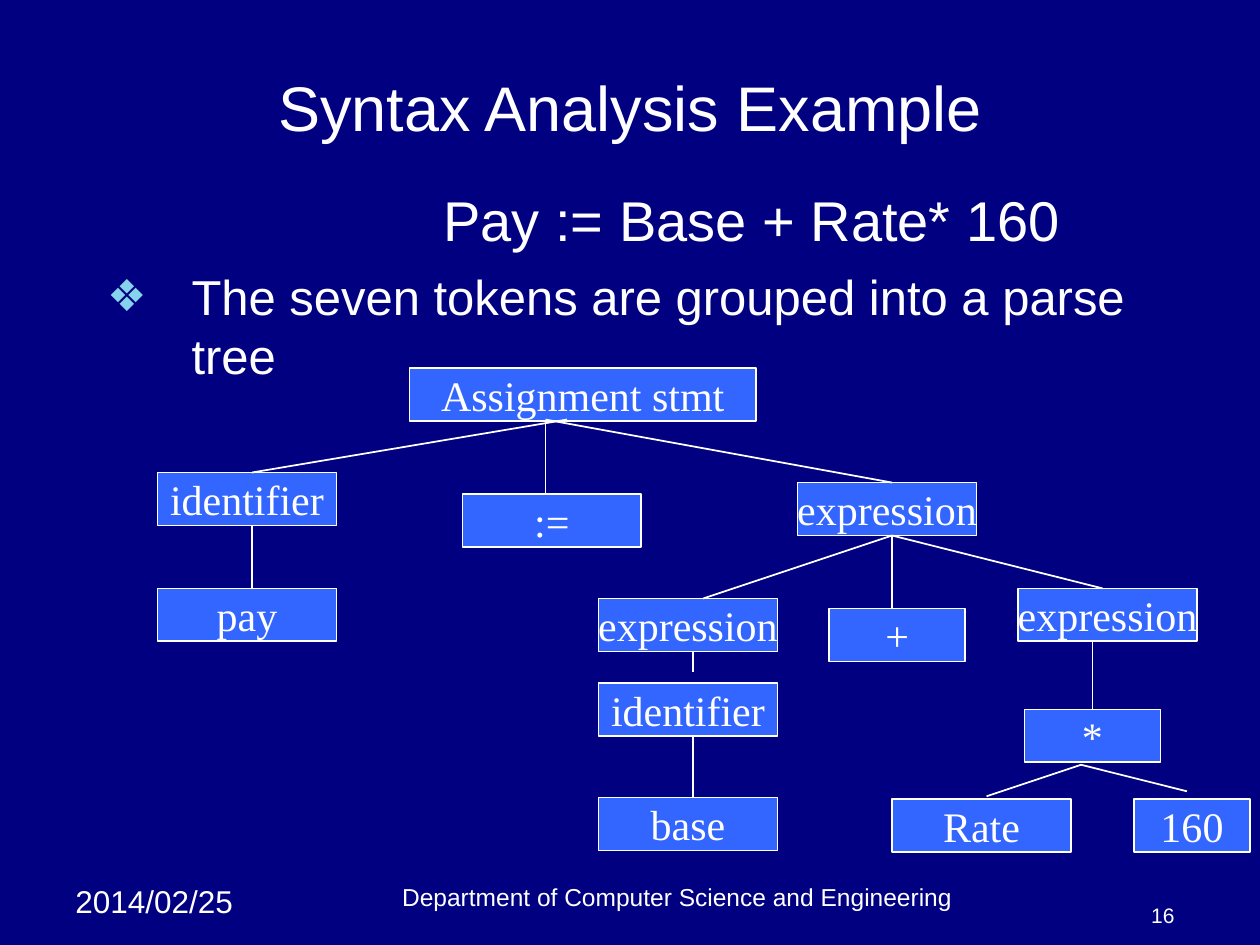
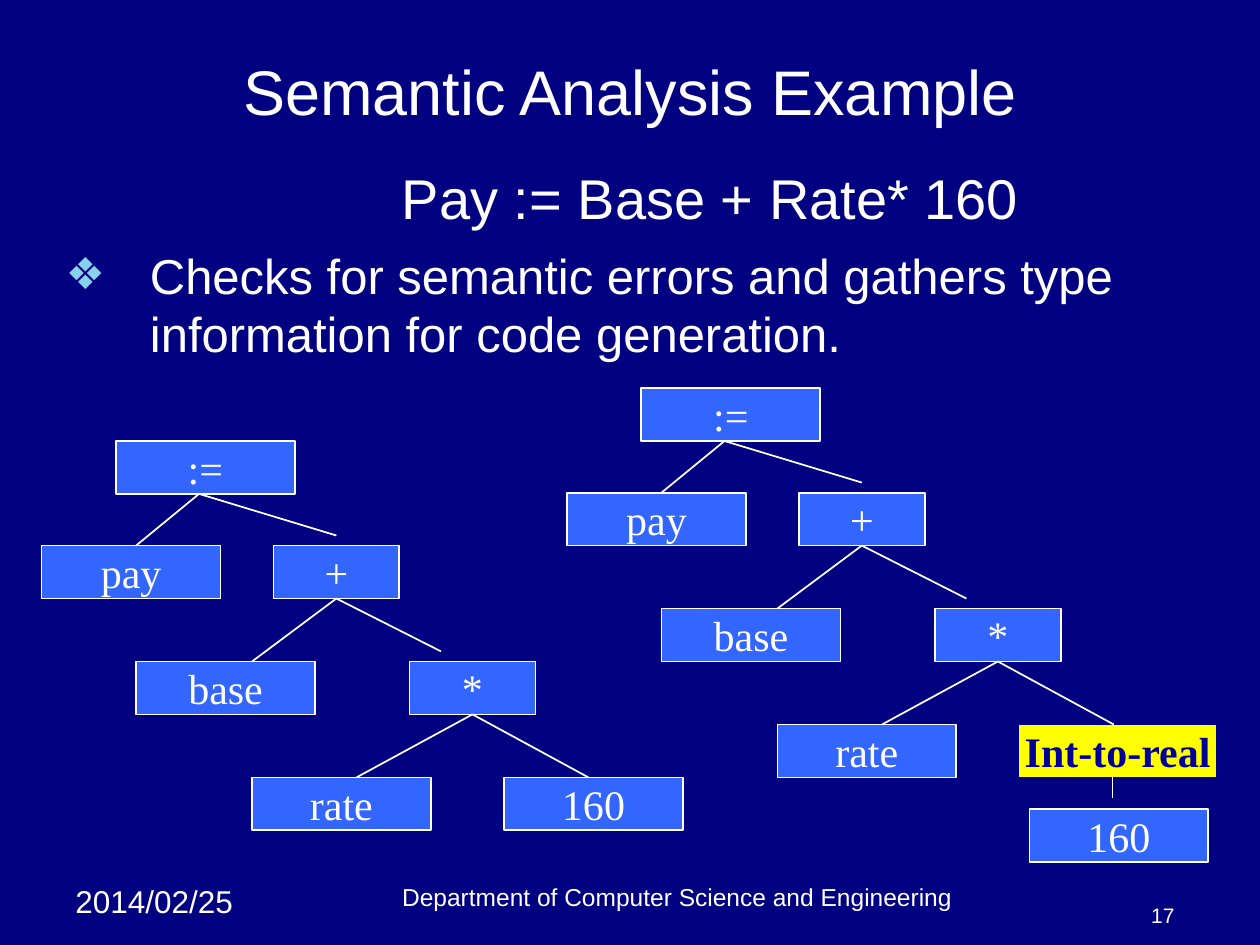
from dataclasses import dataclass

from lxml.etree import SubElement
from pptx import Presentation
from pptx.dml.color import RGBColor
from pptx.enum.shapes import MSO_CONNECTOR, MSO_SHAPE
from pptx.enum.text import MSO_ANCHOR, PP_ALIGN
from pptx.oxml.ns import qn
from pptx.presentation import Presentation as Deck
from pptx.shapes.autoshape import Shape
from pptx.slide import Slide
from pptx.text.text import _Paragraph
from pptx.util import Inches, Pt

COLORS = {
    "navy": "000080",
    "white": "FFFFFF",
    "node": "3366FF",
    "bullet": "86D1EC",
    "highlight": "FFFF00",
    "highlight_text": "000099",
}
SANS, SERIF = "Arial", "Times New Roman"
NODE_HEIGHT = 0.42
WIDE, NARROW = 1.42, 1.08
BULLET_INDENT, FORMULA_INDENT = 0.67, 2.67
SNAP = 0.02
TOP, BOTTOM = 0, 2


@dataclass(frozen=True)
class Area:
    left: float
    top: float
    width: float
    height: float


@dataclass(frozen=True)
class Node:
    text: str
    left: float
    top: float
    width: float = WIDE
    highlighted: bool = False


@dataclass(frozen=True)
class Branch:
    x1: float
    y1: float
    x2: float
    y2: float


@dataclass(frozen=True)
class Tree:
    nodes: list[Node]
    branches: list[Branch]


@dataclass(frozen=True)
class Footer:
    text: str
    area: Area
    size: int
    align: PP_ALIGN
    anchor: MSO_ANCHOR


@dataclass(frozen=True)
class Page:
    number: int
    title: str
    title_area: Area
    statement: str
    body_area: Area
    trees: list[Tree]


PARSE_TREE = Tree(
    [
        Node("Assignment stmt", 3.25, 2.92, 2.75),
        Node("identifier", 1.25, 3.75),
        Node("pay", 1.25, 4.67),
        Node(":=", 3.67, 3.92),
        Node("expression", 6.33, 3.83),
        Node("expression", 4.75, 4.75),
        Node("expression", 8.08, 4.67),
        Node("+", 6.58, 4.83, NARROW),
        Node("identifier", 4.75, 5.42),
        Node("base", 4.75, 6.33),
        Node("*", 8.13, 5.63, NARROW),
        Node("Rate", 7.08, 6.34),
        Node("160", 9, 6.34, 0.92),
    ],
    [
        Branch(4.5, 3.33, 2, 3.75),
        Branch(2, 4.17, 2, 4.67),
        Branch(4.33, 3.33, 4.33, 3.92),
        Branch(4.33, 3.33, 7.08, 3.83),
        Branch(7.08, 4.25, 5.58, 4.75),
        Branch(7.08, 4.25, 7.08, 4.83),
        Branch(7.08, 4.25, 8.75, 4.67),
        Branch(5.5, 5.83, 5.5, 6.33),
        Branch(5.5, 5.17, 5.5, 5.33),
        Branch(8.67, 5.08, 8.67, 5.63),
        Branch(8.58, 6.07, 7.83, 6.32),
        Branch(8.58, 6.07, 9.42, 6.28),
    ],
)


def syntax_tree(dx: float, dy: float, leaves: list[Node],
                extra: list[Branch]) -> Tree:
    """Shift the common operator tree and add the leaves right of "*"."""
    nodes = [
        Node(":=", 0.92, 3.5),
        Node("pay", 0.33, 4.33),
        Node("+", 2.17, 4.33, 1),
        Node("base", 1.08, 5.25),
        Node("*", 3.25, 5.25, 1),
        Node("rate", 2, 6.17),
    ]
    branches = [
        Branch(1.58, 3.92, 1.08, 4.33),
        Branch(1.58, 3.92, 2.67, 4.25),
        Branch(2.67, 4.75, 2, 5.25),
        Branch(2.67, 4.75, 3.5, 5.17),
        Branch(3.75, 5.67, 2.83, 6.17),
        Branch(3.75, 5.67, 4.67, 6.17),
    ]
    return Tree(
        [Node(n.text, n.left + dx, n.top + dy, n.width) for n in nodes] + leaves,
        [Branch(b.x1 + dx, b.y1 + dy, b.x2 + dx, b.y2 + dy)
         for b in branches] + extra,
    )


PAGES = [
    Page(16, "Syntax Analysis Example", Area(0.5, 0.3, 9, 1.08),
         "The seven tokens are grouped into a parse tree",
         Area(0.75, 1.42, 8.5, 5.42), [PARSE_TREE]),
    Page(17, "Semantic Analysis Example", Area(0.5, 0.3, 9, 0.83),
         "Checks for semantic errors and gathers type information "
         "for code generation.",
         Area(0.42, 1.25, 9.33, 5.83),
         [syntax_tree(0, 0, [Node("160", 4, 6.17)], []),
          syntax_tree(4.17, -0.42,
                      [Node("Int-to-real", 8.08, 5.75, 1.58, True),
                       Node("160", 8.17, 6.42)],
                      [Branch(8.83, 6.17, 8.83, 6.33)])]),
]


def rgb(name: str) -> RGBColor:
    return RGBColor.from_string(COLORS[name])


def add_run(p: _Paragraph, text: str, size: int, font: str = SANS,
            color: str = "white", bold: bool = False) -> None:
    r = p.add_run()
    r.text = text
    r.font.size = Pt(size)
    r.font.name = font
    r.font.bold = bold
    r.font.color.rgb = rgb(color)


def place(sp: Shape, area: Area) -> None:
    sp.left, sp.top = Inches(area.left), Inches(area.top)
    sp.width, sp.height = Inches(area.width), Inches(area.height)


def set_bullet(p: _Paragraph, char: str | None, left: float, hanging: float) -> None:
    pPr = p._p.get_or_add_pPr()
    pPr.set("marL", str(Inches(left)))
    pPr.set("indent", str(-Inches(hanging)))
    if char is None:
        SubElement(pPr, qn("a:buNone"))
        return
    color = SubElement(pPr, qn("a:buClr"))
    SubElement(color, qn("a:srgbClr"), val=COLORS["bullet"])
    SubElement(pPr, qn("a:buSzPct"), val="90000")
    SubElement(pPr, qn("a:buChar"), char=char)


def fill_placeholders(s: Slide, page: Page) -> None:
    title, body = s.shapes.title, s.placeholders[1]
    place(title, page.title_area)
    title.text_frame.vertical_anchor = MSO_ANCHOR.MIDDLE
    p = title.text_frame.paragraphs[0]
    p.alignment = PP_ALIGN.CENTER
    add_run(p, page.title, 36)

    place(body, page.body_area)
    p = body.text_frame.paragraphs[0]
    set_bullet(p, None, FORMULA_INDENT, 0)
    p.space_before = Pt(0)
    add_run(p, "Pay := Base + Rate* 160", 32)
    p = body.text_frame.add_paragraph()
    set_bullet(p, "❖", BULLET_INDENT, BULLET_INDENT)
    p.space_before = Pt(8)
    add_run(p, page.statement, 28)


def add_footers(s: Slide, number: int) -> None:
    footers = [
        Footer("2014/02/25", Area(0.5, 6.95, 1.58, 0.4), 18,
               PP_ALIGN.LEFT, MSO_ANCHOR.TOP),
        Footer("Department of Computer Science and Engineering",
               Area(2, 6.95, 6.75, 0.33), 14, PP_ALIGN.CENTER, MSO_ANCHOR.BOTTOM),
        Footer(str(number), Area(8.75, 7.08, 0.67, 0.33), 12,
               PP_ALIGN.RIGHT, MSO_ANCHOR.BOTTOM),
    ]
    for footer in footers:
        sp = s.shapes.add_textbox(0, 0, 0, 0)
        place(sp, footer.area)
        tf = sp.text_frame
        tf.word_wrap = True
        tf.vertical_anchor = footer.anchor
        p = tf.paragraphs[0]
        p.alignment = footer.align
        add_run(p, footer.text, footer.size)


def add_node(s: Slide, node: Node) -> Shape:
    sp = s.shapes.add_shape(MSO_SHAPE.RECTANGLE, 0, 0, 0, 0)
    place(sp, Area(node.left, node.top, node.width, NODE_HEIGHT))
    sp.shadow.inherit = False
    sp.fill.solid()
    sp.fill.fore_color.rgb = rgb("highlight" if node.highlighted else "node")
    sp.line.color.rgb = rgb("navy" if node.highlighted else "white")
    sp.line.width = Pt(1)
    tf = sp.text_frame
    tf.word_wrap = False
    tf.vertical_anchor = MSO_ANCHOR.MIDDLE
    p = tf.paragraphs[0]
    p.alignment = PP_ALIGN.CENTER
    add_run(p, node.text, 24, SERIF,
            "highlight_text" if node.highlighted else "white", node.highlighted)
    return sp


def site_at(boxes: list[Shape], x: int, y: int, site: int) -> Shape | None:
    """Find the box whose top or bottom middle lies at the point."""
    for sp in boxes:
        edge = sp.top + (sp.height if site == BOTTOM else 0)
        if max(abs(sp.left + sp.width // 2 - x), abs(edge - y)) <= Inches(SNAP):
            return sp
    return None


def add_branch(s: Slide, branch: Branch, boxes: list[Shape]) -> None:
    x1, y1, x2, y2 = (Inches(v) for v in
                      (branch.x1, branch.y1, branch.x2, branch.y2))
    line = s.shapes.add_connector(MSO_CONNECTOR.STRAIGHT, x1, y1, x2, y2)
    line.line.color.rgb = rgb("white")
    line.line.width = Pt(1)
    SubElement(line._element.spPr, qn("a:effectLst"))
    if parent := site_at(boxes, x1, y1, BOTTOM):
        line.begin_connect(parent, BOTTOM)
    if child := site_at(boxes, x2, y2, TOP):
        line.end_connect(child, TOP)


def add_page(prs: Deck, page: Page) -> None:
    s = prs.slides.add_slide(prs.slide_layouts[1])
    add_footers(s, page.number)
    fill_placeholders(s, page)
    for tree in page.trees:
        boxes = [add_node(s, node) for node in tree.nodes]
        for branch in tree.branches:
            add_branch(s, branch, boxes)


def main() -> None:
    prs = Presentation()
    prs.slide_width, prs.slide_height = Inches(10), Inches(7.5)
    background = prs.slide_master.background.fill
    background.solid()
    background.fore_color.rgb = rgb("navy")
    for page in PAGES:
        add_page(prs, page)
    prs.save("out.pptx")


if __name__ == "__main__":
    main()
